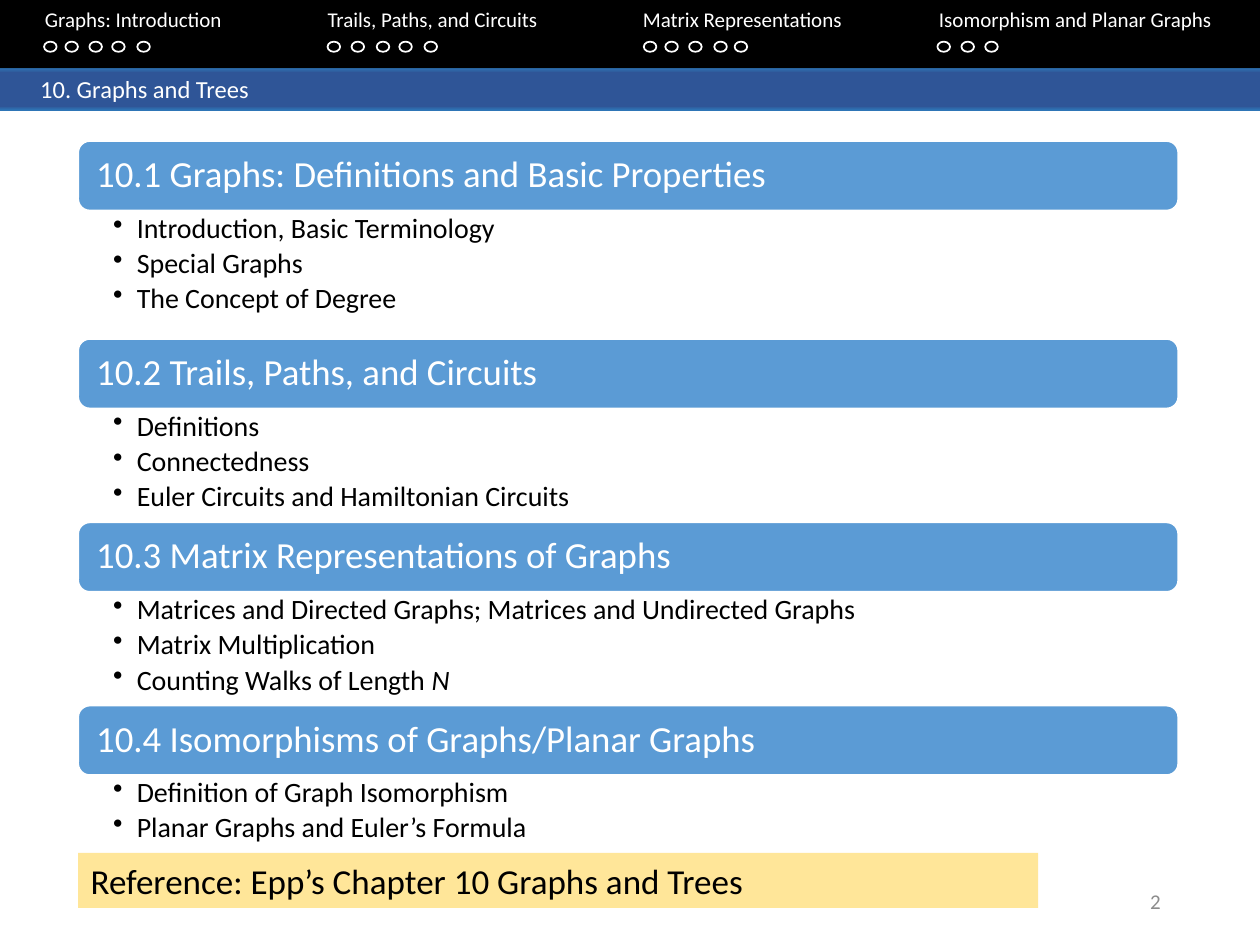
from pptx import Presentation
from pptx.dml.color import RGBColor
from pptx.enum.shapes import MSO_SHAPE
from pptx.enum.text import MSO_ANCHOR, PP_ALIGN
from pptx.oxml import parse_xml
from pptx.oxml.ns import nsdecls, qn
from pptx.util import Pt

RECT, ROUNDED, OVAL = MSO_SHAPE.RECTANGLE, MSO_SHAPE.ROUNDED_RECTANGLE, MSO_SHAPE.OVAL
TOP, MIDDLE = MSO_ANCHOR.TOP, MSO_ANCHOR.MIDDLE
LEFT, RIGHT = PP_ALIGN.LEFT, PP_ALIGN.RIGHT

COLORS = {
    "black": "000000", "white": "FFFFFF", "gray": "8C8C8C", "heading": "5B9BD5",
    "edge": "2E75B6", "band": "2F5597", "reference": "FFE699",
}
NAVIGATION = [
    ("Graphs: Introduction", 25.7, [25.2, 37.4, 51.1, 64.1, 78.5]),
    ("Trails, Paths, and Circuits", 187.2, [187.2, 200.9, 215.3, 228.2, 242.6]),
    ("Matrix Representations", 367.4, [367.9, 380.2, 393.8, 408.2, 419.8]),
    ("Isomorphism and Planar Graphs", 536.6, [535.7, 549.4, 563]),
]
SECTIONS = [
    (80.6, "10.1 Graphs: Definitions and Basic Properties",
     ["Introduction, Basic Terminology", "Special Graphs", "The Concept of Degree"]),
    (193.7, "10.2 Trails, Paths, and Circuits",
     ["Definitions", "Connectedness", "Euler Circuits and Hamiltonian Circuits"]),
    (298.5, "10.3 Matrix Representations of Graphs",
     ["Matrices and Directed Graphs; Matrices and Undirected Graphs",
      "Matrix Multiplication", "Counting Walks of Length _N"]),
    (403.2, "10.4 Isomorphisms of Graphs/Planar Graphs",
     ["Definition of Graph Isomorphism", "Planar Graphs and Euler’s Formula"]),
]
CONTENT_LEFT, CONTENT_WIDTH, HEADING_HEIGHT, TOPIC_PITCH = 44.7, 628.6, 39.7, 20.5


class OutlineSlide:
    """Holds the style and the current slide, and draws each kind of element."""

    font = "Calibri"

    def __init__(self, slide):
        self.slide = slide

    def color(self, name):
        return RGBColor.from_string(COLORS[name])

    def shape(self, kind, left, top, width, height, fill=None, line=None):
        shape = self.slide.shapes.add_shape(kind, Pt(left), Pt(top), Pt(width), Pt(height))
        shape.shadow.inherit = False
        if fill:
            shape.fill.solid()
            shape.fill.fore_color.rgb = self.color(fill)
        else:
            shape.fill.background()
        if line:
            shape.line.color.rgb = self.color(line)
            shape.line.width = Pt(1)
        else:
            shape.line.fill.background()
        return shape

    def gradient_band(self, top, height):
        band = self.shape(RECT, 0, top, 720, height)
        stops = "".join(
            f'<a:gs pos="{percent * 1000}"><a:srgbClr val="{COLORS[name]}"/></a:gs>'
            for percent, name in [(0, "edge"), (11, "band"), (91, "band"), (100, "edge")])
        properties = band._element.spPr
        properties.replace(properties.find(qn("a:noFill")), parse_xml(
            f'<a:gradFill {nsdecls("a")} rotWithShape="1"><a:gsLst>{stops}</a:gsLst>'
            '<a:lin ang="5400000" scaled="0"/></a:gradFill>'))
        return band

    def text_box(self, left, top, width, height):
        return self.slide.shapes.add_textbox(Pt(left), Pt(top), Pt(width), Pt(height))

    def frame(self, shape, insets=(7.2, 3.6, 7.2, 3.6), anchor=TOP):
        frame = shape.text_frame
        frame.word_wrap = True
        frame.vertical_anchor = anchor
        frame.margin_left, frame.margin_top, frame.margin_right, frame.margin_bottom = map(Pt, insets)
        return frame

    def style(self, paragraph, size, color, align=LEFT):
        paragraph.alignment = align
        paragraph.font.name = self.font
        paragraph.font.size = Pt(size)
        paragraph.font.color.rgb = self.color(color)

    def label(self, shape, text, size, color, align=LEFT, spacing=1.0, **layout):
        paragraph = self.frame(shape, **layout).paragraphs[0]
        paragraph.add_run().text = text
        paragraph.line_spacing = spacing
        self.style(paragraph, size, color, align)

    def section(self, top, heading, topics):
        bar = self.shape(ROUNDED, CONTENT_LEFT, top, CONTENT_WIDTH, HEADING_HEIGHT, "heading", "white")
        self.label(bar, heading, 21, "white", spacing=0.9, insets=(8.4, 6.5, 8.4, 6.5), anchor=MIDDLE)
        box = self.text_box(CONTENT_LEFT, top + HEADING_HEIGHT, CONTENT_WIDTH,
                            len(topics) * TOPIC_PITCH + 4)
        frame = self.frame(box, (20, 2, 11.5, 2))
        for index, topic in enumerate(topics):
            paragraph = frame.add_paragraph() if index else frame.paragraphs[0]
            plain, _, italic = topic.partition("_")
            paragraph.add_run().text = plain
            if italic:
                variable = paragraph.add_run()
                variable.text = italic
                variable.font.italic = True
            paragraph.line_spacing = 0.9
            paragraph.space_after = Pt(2.9)
            properties = paragraph._p.get_or_add_pPr()
            properties.set("marL", str(Pt(13.5)))
            properties.set("indent", str(Pt(-13.5)))
            properties.append(parse_xml(f'<a:buChar {nsdecls("a")} char="•"/>'))
            self.style(paragraph, 16, "black")

    def navigation(self, entries):
        self.shape(RECT, 0, -1.4, 720, 40.3, "black")
        titles = self.frame(self.text_box(0, 0, 720, 36), (0, 3.6, 0, 3.6)).paragraphs[0]
        titles.add_run().text = "".join("\t" + title for title, _, _ in entries)
        stops = "".join(f'<a:tab pos="{Pt(start)}" algn="l"/>' for _, start, _ in entries)
        titles._p.get_or_add_pPr().append(
            parse_xml(f'<a:tabLst {nsdecls("a")}>{stops}</a:tabLst>'))
        self.style(titles, 12, "white")
        for _, _, dots in entries:
            for left in dots:
                self.shape(OVAL, left, 23.8, 7.2, 5.8, line="white")


def main():
    presentation = Presentation()
    presentation.slide_width, presentation.slide_height = Pt(720), Pt(540)
    outline = OutlineSlide(presentation.slides.add_slide(presentation.slide_layouts[6]))

    outline.label(outline.text_box(508.3, 500.4, 162, 28.8), "2", 12, "gray", RIGHT, anchor=MIDDLE)
    outline.label(outline.gradient_band(38.9, 24), "10. Graphs and Trees", 14, "white",
                  insets=(23, 3.6, 7.2, 3.6))
    for top, heading, topics in SECTIONS:
        outline.section(top, heading, topics)
    reference = outline.shape(RECT, CONTENT_LEFT, 487.4, 548.6, 31.5, "reference")
    outline.label(reference, "Reference: Epp’s Chapter 10 Graphs and Trees", 20, "black")
    outline.navigation(NAVIGATION)
    presentation.save("out.pptx")


if __name__ == "__main__":
    main()
